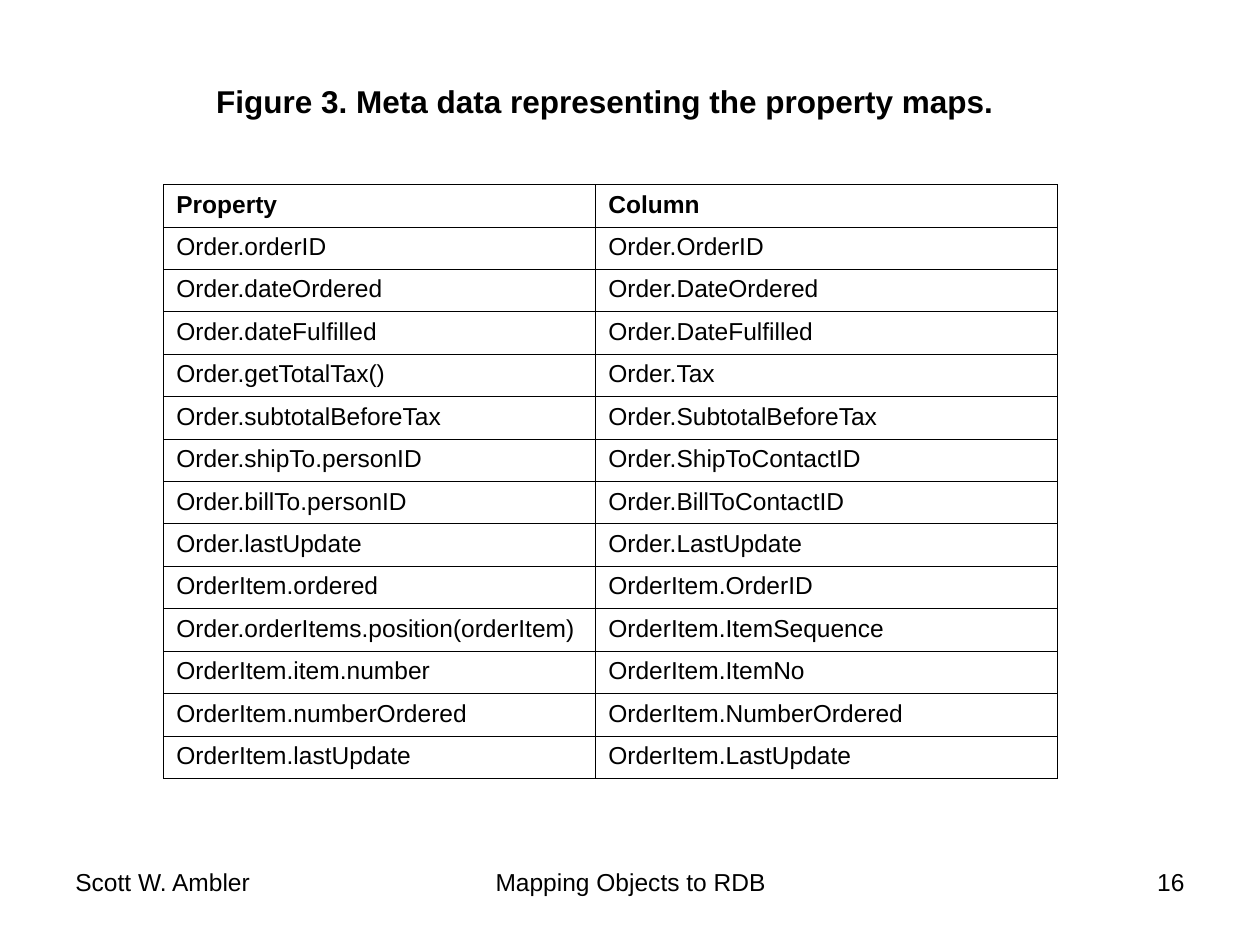
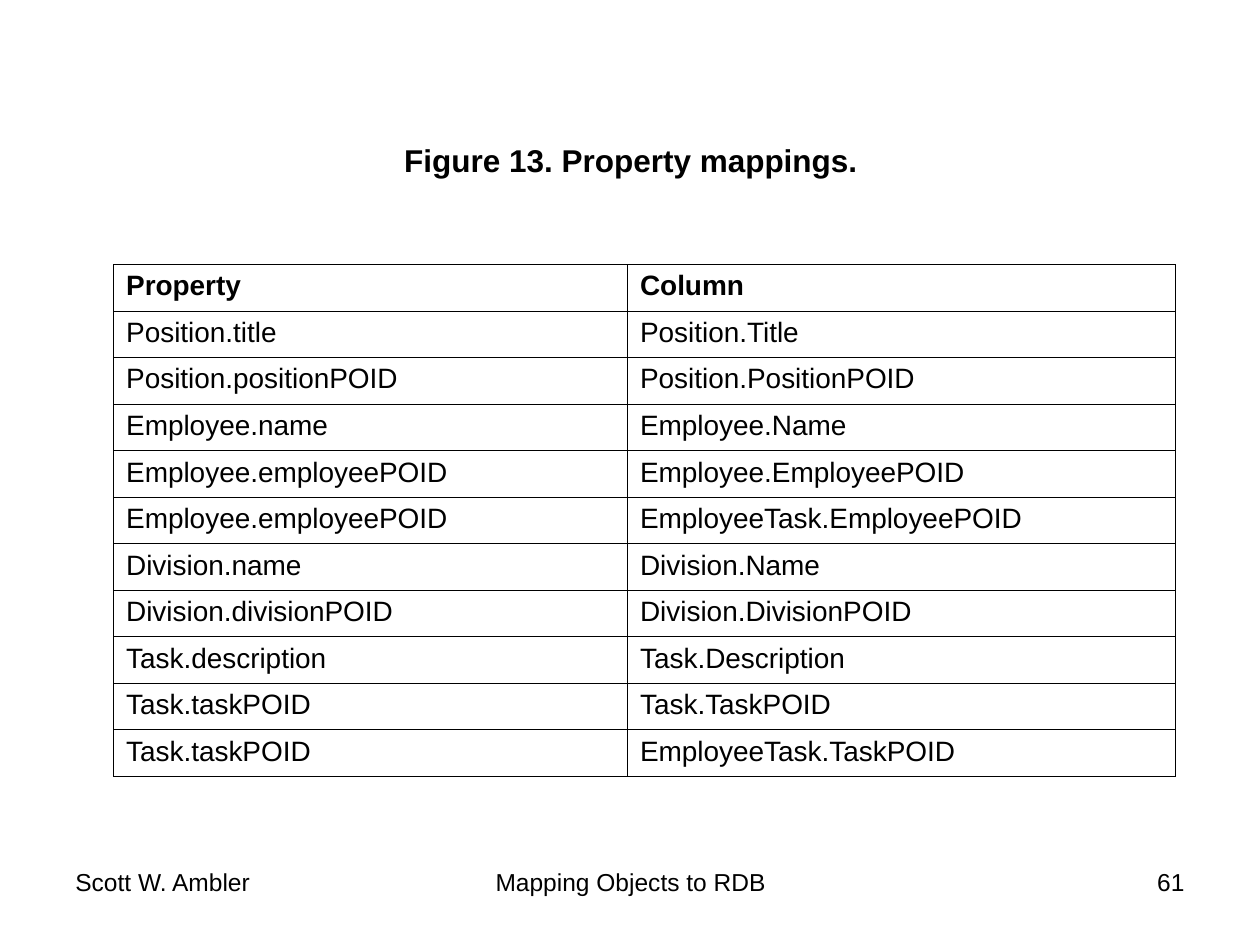
from lxml import etree
from pptx import Presentation
from pptx.dml.color import RGBColor
from pptx.enum.text import MSO_ANCHOR, MSO_AUTO_SIZE, PP_ALIGN
from pptx.oxml.ns import qn
from pptx.util import Cm, Pt

LEFT, CENTER, RIGHT = PP_ALIGN.LEFT, PP_ALIGN.CENTER, PP_ALIGN.RIGHT
TOP = MSO_ANCHOR.TOP
FIT_SHAPE, FIXED = MSO_AUTO_SIZE.SHAPE_TO_FIT_TEXT, MSO_AUTO_SIZE.NONE

BLACK = RGBColor(0, 0, 0)
FONT = "Arial"
BORDER = Pt(0.45)
AUTHOR = "Scott W. Ambler"
TOPIC = "Mapping Objects to RDB"

HEADINGS = ("Property", "Column")
ORDER_MAPS = [
    ("Order.orderID", "Order.OrderID"),
    ("Order.dateOrdered", "Order.DateOrdered"),
    ("Order.dateFulfilled", "Order.DateFulfilled"),
    ("Order.getTotalTax()", "Order.Tax"),
    ("Order.subtotalBeforeTax", "Order.SubtotalBeforeTax"),
    ("Order.shipTo.personID", "Order.ShipToContactID"),
    ("Order.billTo.personID", "Order.BillToContactID"),
    ("Order.lastUpdate", "Order.LastUpdate"),
    ("OrderItem.ordered", "OrderItem.OrderID"),
    ("Order.orderItems.position(orderItem)", "OrderItem.ItemSequence"),
    ("OrderItem.item.number", "OrderItem.ItemNo"),
    ("OrderItem.numberOrdered", "OrderItem.NumberOrdered"),
    ("OrderItem.lastUpdate", "OrderItem.LastUpdate"),
]
EMPLOYEE_MAPS = [
    ("Position.title", "Position.Title"),
    ("Position.positionPOID", "Position.PositionPOID"),
    ("Employee.name", "Employee.Name"),
    ("Employee.employeePOID", "Employee.EmployeePOID"),
    ("Employee.employeePOID", "EmployeeTask.EmployeePOID"),
    ("Division.name", "Division.Name"),
    ("Division.divisionPOID", "Division.DivisionPOID"),
    ("Task.description", "Task.Description"),
    ("Task.taskPOID", "Task.TaskPOID"),
    ("Task.taskPOID", "EmployeeTask.TaskPOID"),
]


class Deck:
    """Holds the shared style and the current slide."""

    def __init__(self):
        self.prs = Presentation()
        self.prs.slide_width, self.prs.slide_height = Cm(25.4), Cm(19.05)
        self.s = None

    def styled_run(self, p, text, size, bold=False, align=LEFT):
        p.alignment = align
        r = p.add_run()
        r.text = text
        style = {"name": FONT, "size": Pt(size), "bold": bold}
        for name, value in style.items():
            setattr(r.font, name, value)
        r.font.color.rgb = BLACK

    def text(self, text, box, size, bold=False, align=LEFT, wrap=True):
        sp = self.s.shapes.add_textbox(*map(Cm, box))
        tf = sp.text_frame
        frame = {"word_wrap": wrap, "vertical_anchor": TOP,
                 "auto_size": FIXED if wrap else FIT_SHAPE}
        for name, value in frame.items():
            setattr(tf, name, value)
        self.styled_run(tf.paragraphs[0], text, size, bold, align)

    def title(self, text, left, top, width):
        self.text(text, (left, top, width, 1.02), 18, bold=True, wrap=False)

    def footer(self, number):
        parts = [(TOPIC, 8.69, 8.05, CENTER),
                 (str(number), 18.21, 5.92, RIGHT),
                 (AUTHOR, 1.27, 5.92, LEFT)]
        for text, left, width, align in parts:
            self.text(text, (left, 17.35, width, 1.32), 14, align=align)

    def border(self, cell):
        tcPr = cell._tc.get_or_add_tcPr()
        for side in ("a:lnL", "a:lnR", "a:lnT", "a:lnB"):
            ln = etree.SubElement(tcPr, qn(side), w=str(BORDER))
            fill = etree.SubElement(ln, qn("a:solidFill"))
            etree.SubElement(fill, qn("a:srgbClr"), val=str(BLACK))

    def table(self, maps, left, top, widths, height, size):
        rows = [HEADINGS, *maps]
        box = map(Cm, (left, top, sum(widths), height))
        table = self.s.shapes.add_table(len(rows), len(widths), *box).table
        table.first_row = table.horz_banding = False
        for column, width in zip(table.columns, widths):
            column.width = Cm(width)
        for i, row in enumerate(rows):
            for j, text in enumerate(row):
                cell = table.cell(i, j)
                self.border(cell)
                cell.fill.background()
                self.styled_run(cell.text_frame.paragraphs[0], text, size, bold=i == 0)

    def new_slide(self, number, title, table):
        self.s = self.prs.slides.add_slide(self.prs.slide_layouts[6])
        self.table(**table)
        self.title(*title)
        self.footer(number)


def main():
    deck = Deck()

    # Order property maps
    deck.new_slide(
        16, ("Figure 3. Meta data representing the property maps.", 4.11, 1.52, 16.18),
        dict(maps=ORDER_MAPS, left=3.3, top=3.72, widths=(8.71, 9.3),
             height=11.97, size=14))

    # Employee property maps
    deck.new_slide(
        61, ("Figure 13. Property mappings.", 7.9, 2.72, 9.65),
        dict(maps=EMPLOYEE_MAPS, left=2.29, top=5.33, widths=(10.36, 11.05),
             height=10.32, size=16))

    deck.prs.save("out.pptx")


if __name__ == "__main__":
    main()
